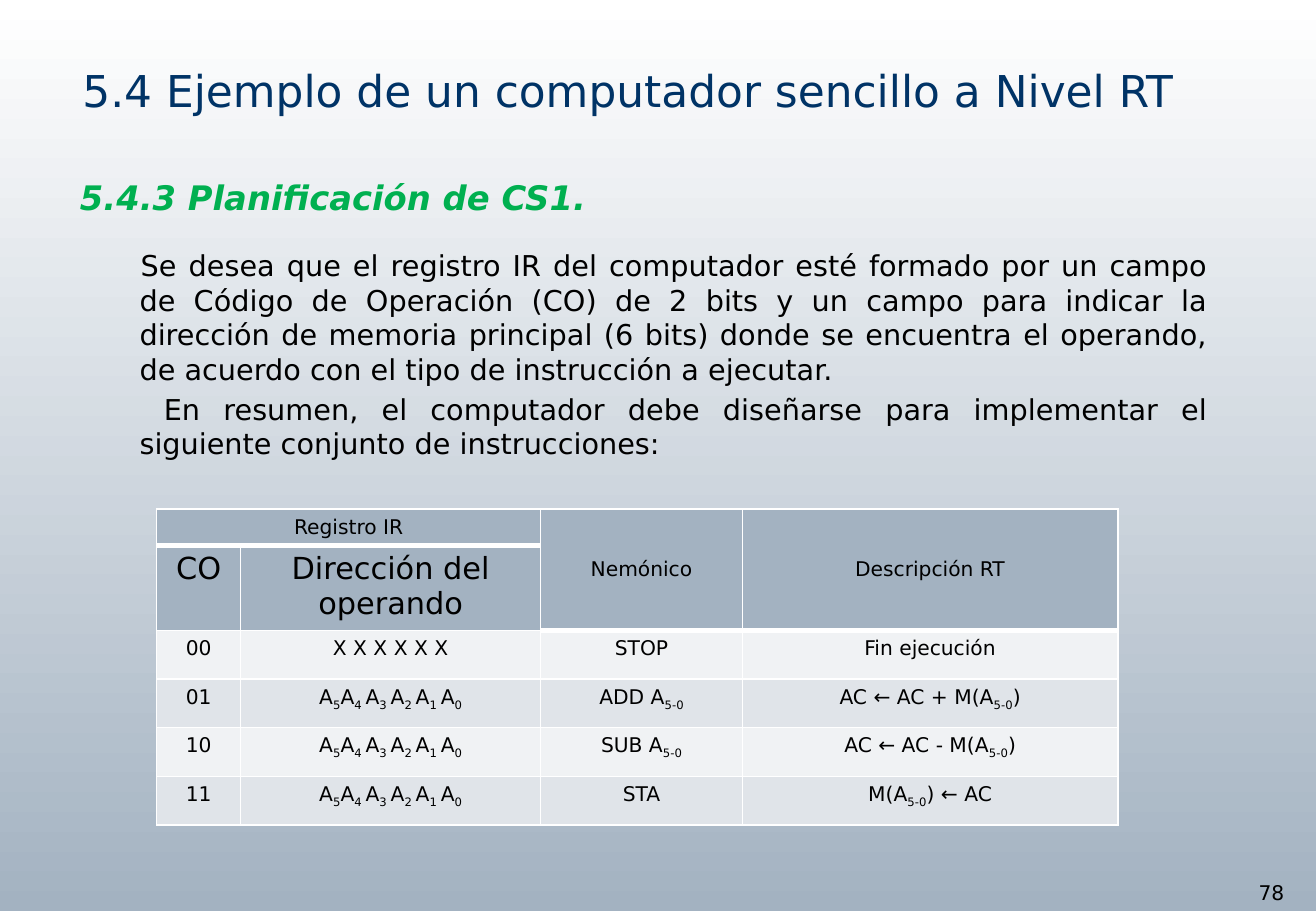
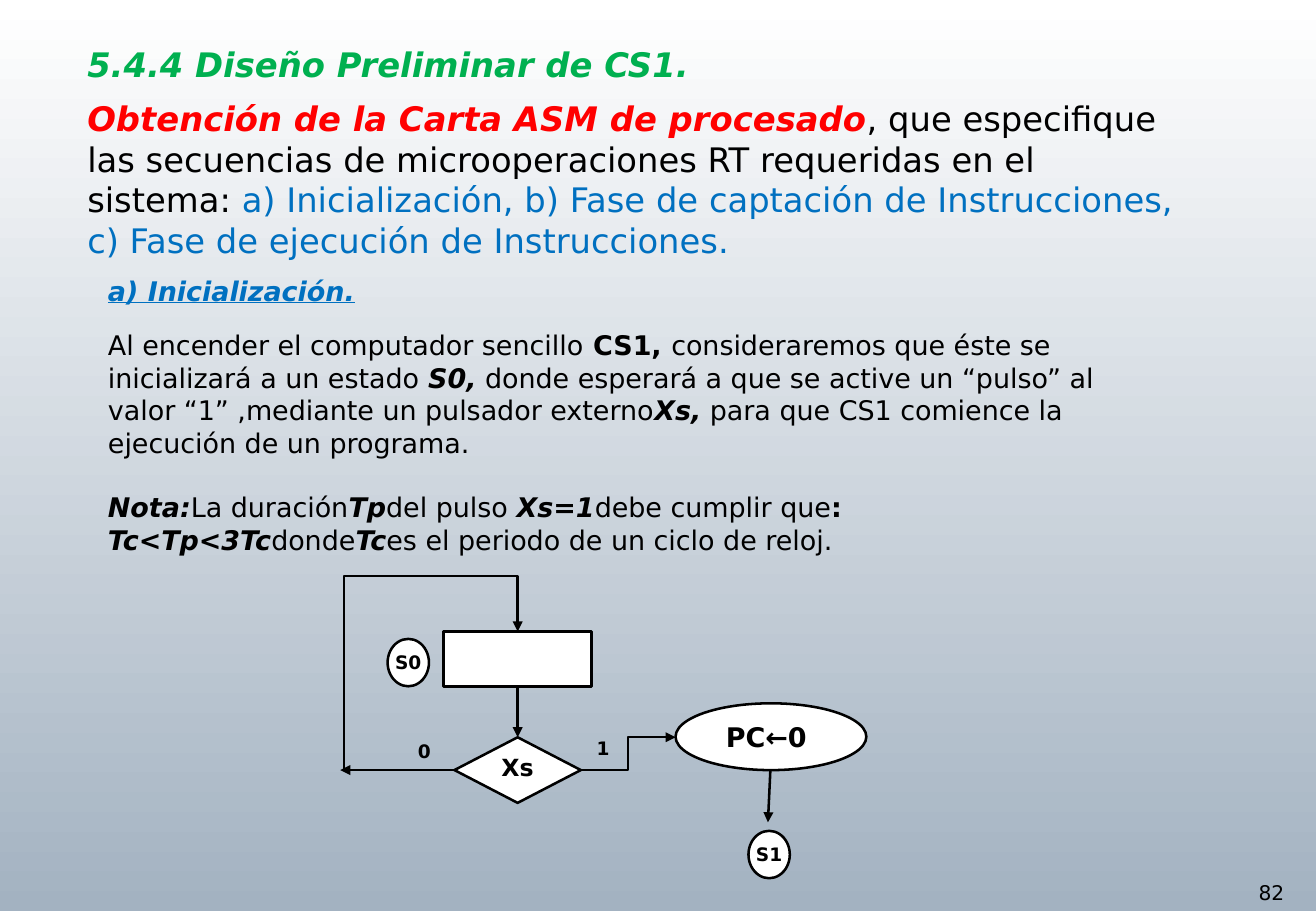
from lxml.etree import SubElement
from pptx import Presentation
from pptx.dml.color import RGBColor
from pptx.enum.shapes import MSO_CONNECTOR, MSO_SHAPE
from pptx.enum.text import MSO_ANCHOR, PP_ALIGN
from pptx.oxml.ns import qn
from pptx.util import Inches, Pt

FONT = "DejaVu Sans"
BLACK, WHITE, STEEL = "000000", "FFFFFF", "A3B2C1"
NAVY, GREEN, BLUE, RED = "003366", "00B050", "0070C0", "FF0000"
BAND_COLORS = ("F0F2F4", "E0E4E9")

ADDRESS = "A|5|A|4 |A|3 |A|2 |A|1 |A|0"
COLUMN_WIDTHS = (0.69, 2.47, 1.66, 3.09)
ROW_HEIGHTS = (0.29, 0.68, 0.4, 0.4, 0.4, 0.4)
INSTRUCTIONS = (
    ("Registro IR", "", "Nemónico", "Descripción RT"),
    ("CO", "Dirección del operando", "", ""),
    ("00", "X X X X X X", "STOP", "Fin ejecución"),
    ("01", ADDRESS, "ADD A|5-0", "AC ← AC + M(A|5-0|)"),
    ("10", ADDRESS, "SUB A|5-0", "AC ← AC - M(A|5-0|)"),
    ("11", ADDRESS, "STA", "M(A|5-0|) ← AC"),
)


def rgb(value):
    """Turn a hex string into a colour."""
    return RGBColor.from_string(value)


def set_font(font, size, color=BLACK, bold=False, italic=False):
    """Apply the shared typeface with a size, colour and emphasis."""
    font.name, font.size = FONT, Pt(size)
    font.bold, font.italic = bold, italic
    font.color.rgb = rgb(color)


def add_textbox(slide, left, top, width, height, inset=None, wrap=True):
    """Add an empty text box and return its text frame."""
    frame = slide.shapes.add_textbox(
        Inches(left), Inches(top), Inches(width), Inches(height)).text_frame
    frame.word_wrap = wrap
    if inset is not None:
        set_insets(frame, inset)
    return frame


def set_insets(frame, inset):
    """Give a text frame the same inset on all four sides."""
    frame.margin_left = frame.margin_right = Inches(inset)
    frame.margin_top = frame.margin_bottom = Inches(inset)


def write(paragraph, text, size, color=BLACK, bold=False, italic=False):
    """Write a paragraph whose runs all share one font."""
    paragraph.text = text
    set_font(paragraph.font, size, color, bold, italic)


def write_mixed(paragraph, size, runs):
    """Write runs of (text, style letters, colour) in one paragraph."""
    for text, style, color in runs:
        run = paragraph.add_run()
        run.text = text
        set_font(run.font, size, color, "b" in style, "i" in style)


def write_subscripts(paragraph, text, size):
    """Write text in which every second part between bars is a subscript."""
    for index, part in enumerate(text.split("|")):
        run = paragraph.add_run()
        run.text = part
        if index % 2:
            run._r.get_or_add_rPr().set("baseline", "-25000")
    set_font(paragraph.font, size)


def add_slide(presentation, number):
    """Add a slide with the shared gradient and its page number."""
    slide = presentation.slides.add_slide(presentation.slide_layouts[6])
    fill = slide.background.fill
    fill.gradient()
    fill.gradient_angle = 270
    for stop, color in zip(fill.gradient_stops, (WHITE, STEEL)):
        stop.color.rgb = rgb(color)
    frame = add_textbox(slide, 10.26, 7.2, 0.57, 0.3, wrap=False)
    write(frame.paragraphs[0], number, 12)
    return slide


def add_title(slide, text, left, top, width, height):
    """Add the slide title."""
    frame = add_textbox(slide, left, top, width, height)
    frame.vertical_anchor = MSO_ANCHOR.BOTTOM
    write(frame.paragraphs[0], text, 26, NAVY)


def add_planning_text(slide, left, top, width, height):
    """Add the section heading and its justified paragraphs."""
    frame = add_textbox(slide, left, top, width, height)
    write(frame.paragraphs[0], "5.4.3 Planificación de CS1.", 20, GREEN, True, True)
    body = (
        ("Se desea que el registro IR del computador esté formado por un campo "
         "de Código de Operación (CO) de 2 bits y un campo para indicar la "
         "dirección de memoria principal (6 bits) donde se encuentra el operando, "
         "de acuerdo con el tipo de instrucción a ejecutar.", 0.01, 18),
        ("En resumen, el computador debe diseñarse para implementar el "
         "siguiente conjunto de instrucciones:", 0.2, 3.4),
    )
    for text, indent, gap in body:
        paragraph = frame.add_paragraph()
        properties = paragraph._p.get_or_add_pPr()
        properties.set("marL", str(Inches(0.49)))
        properties.set("indent", str(Inches(indent)))
        paragraph.alignment = PP_ALIGN.JUSTIFY
        paragraph.space_before = Pt(gap)
        write(paragraph, text, 17)


def add_border(cell, side, width):
    """Draw one white border of a cell."""
    line = SubElement(cell._tc.get_or_add_tcPr(), qn(f"a:ln{side}"), w=str(Pt(width)))
    fill = SubElement(line, qn("a:solidFill"))
    SubElement(fill, qn("a:srgbClr"), val=WHITE)


def add_instruction_table(slide, left, top):
    """Add the table of instructions with its two-row header."""
    table = slide.shapes.add_table(
        len(ROW_HEIGHTS), len(COLUMN_WIDTHS), Inches(left), Inches(top),
        Inches(sum(COLUMN_WIDTHS)), Inches(sum(ROW_HEIGHTS))).table
    table.first_row = table.horz_banding = False
    for column, width in zip(table.columns, COLUMN_WIDTHS):
        column.width = Inches(width)
    for row, height in zip(table.rows, ROW_HEIGHTS):
        row.height = Inches(height)
    for first, last in (((0, 0), (0, 1)), ((0, 2), (1, 2)), ((0, 3), (1, 3))):
        table.cell(*first).merge(table.cell(*last))
    for row, texts in enumerate(INSTRUCTIONS):
        for column, text in enumerate(texts):
            cell = table.cell(row, column)
            under_header = row == 0 or (row == 1 and column > 1)
            for side in "LR" if row else "LRT":
                add_border(cell, side, 1)
            add_border(cell, "B", 3 if under_header else 1)
            cell.fill.solid()
            cell.fill.fore_color.rgb = rgb(STEEL if row < 2 else BAND_COLORS[row % 2])
            cell.vertical_anchor = MSO_ANCHOR.MIDDLE if row == 0 else MSO_ANCHOR.TOP
            paragraph = cell.text_frame.paragraphs[0]
            paragraph.alignment = PP_ALIGN.CENTER
            if text:
                write_subscripts(paragraph, text, 18 if row == 1 else 12)


def add_design_text(slide, left, top, width, height):
    """Add the heading and summary of the preliminary design."""
    frame = add_textbox(slide, left, top, width, height)
    write(frame.paragraphs[0], "5.4.4 Diseño Preliminar de CS1.", 20, GREEN, True, True)
    summary = frame.add_paragraph()
    summary.space_before = Pt(8.4)
    write_mixed(summary, 20, (
        ("Obtención de la Carta ASM de procesado", "bi", RED),
        (", que especifique las secuencias de microoperaciones RT requeridas "
         "en el sistema: ", "", BLACK),
        ("a) Inicialización, b) Fase de captación de Instrucciones, "
         "c) Fase de ejecución de Instrucciones.", "", BLUE),
    ))


def add_start_text(slide, left, top, width, height):
    """Add the explanation of the initialisation phase."""
    frame = add_textbox(slide, left, top, width, height)
    heading = frame.paragraphs[0]
    write(heading, "a) Inicialización.", 16, BLUE, True, True)
    heading.font.underline = True
    body = (
        (13.2, (
            ("Al encender el computador sencillo", ""), (" CS1, ", "b"),
            ("consideraremos que éste se inicializará a un estado ", ""),
            ("S0,", "bi"),
            (" donde esperará a que se active un “pulso” al valor “1” ,"
             "mediante un pulsador externo", ""),
            ("Xs,", "bi"),
            (" para que CS1 comience la ejecución de un programa.", ""))),
        (19.2, (
            ("Nota:", "bi"), ("La duración", ""), ("Tp", "bi"),
            ("del pulso ", ""), ("Xs=1", "bi"), ("debe cumplir que", ""),
            (": ", "b"), ("Tc<Tp<3Tc", "bi"), ("donde", ""), ("Tc", "bi"),
            ("es el periodo de un ciclo de reloj.", ""))),
    )
    for gap, runs in body:
        paragraph = frame.add_paragraph()
        paragraph.space_before = Pt(gap)
        write_mixed(paragraph, 16, [(text, style, BLACK) for text, style in runs])


def add_node(slide, kind, left, top, width, height, text="", size=11):
    """Add a white outlined chart node with centred bold text."""
    shape = slide.shapes.add_shape(
        kind, Inches(left), Inches(top), Inches(width), Inches(height))
    shape.shadow.inherit = False
    shape.fill.solid()
    shape.fill.fore_color.rgb = rgb(WHITE)
    shape.line.color.rgb = rgb(BLACK)
    shape.line.width = Pt(1.5)
    if text:
        frame = shape.text_frame
        set_insets(frame, 0)
        frame.word_wrap = False
        frame.vertical_anchor = MSO_ANCHOR.MIDDLE
        frame.paragraphs[0].alignment = PP_ALIGN.CENTER
        write(frame.paragraphs[0], text, size, bold=True)
    return shape


def add_arrow(slide, start, end, kind=MSO_CONNECTOR.STRAIGHT):
    """Add a black connector with an arrowhead at its end."""
    connector = slide.shapes.add_connector(
        kind, *(Inches(value) for value in (*start, *end)))
    connector.line.color.rgb = rgb(BLACK)
    connector.line.width = Pt(1.5)
    SubElement(connector.line._get_or_add_ln(), qn("a:tailEnd"), type="triangle")
    SubElement(connector._element.spPr, qn("a:effectLst"))
    return connector


def bend_twice(connector, *adjustments):
    """Route an elbow connector through three corners."""
    geometry = connector._element.spPr.find(qn("a:prstGeom"))
    geometry.set("prst", "bentConnector4")
    guides = geometry.find(qn("a:avLst"))
    if guides is None:
        guides = SubElement(geometry, qn("a:avLst"))
    for index, value in enumerate(adjustments, 1):
        SubElement(guides, qn("a:gd"), name=f"adj{index}",
                   fmla=f"val {round(value * 100000)}")


def add_flowchart(slide, left, top):
    """Add the chart that waits in S0 until Xs is 1."""
    def at(x, y):
        return left + x, top + y

    test = add_node(slide, MSO_SHAPE.FLOWCHART_DECISION, *at(0.94, 1.32), 1.04, 0.54, "Xs", 14)
    test.text_frame.paragraphs[0].line_spacing = 0.8
    add_node(slide, MSO_SHAPE.OVAL, *at(0.39, 0.51), 0.34, 0.39, "S0")
    state = add_node(slide, MSO_SHAPE.RECTANGLE, *at(0.85, 0.45), 1.22, 0.45)
    add_node(slide, MSO_SHAPE.OVAL, *at(2.76, 1.04), 1.57, 0.55, "PC←0 ", 16)
    add_node(slide, MSO_SHAPE.OVAL, *at(3.36, 2.09), 0.34, 0.39, "S1")

    add_arrow(slide, at(1.46, 0.9), at(1.46, 1.32))
    add_arrow(slide, at(0.94, 1.59), at(0, 1.59))
    add_arrow(slide, at(3.54, 1.59), at(3.52, 2.02))
    add_arrow(slide, at(1.98, 1.59), at(2.76, 1.32), MSO_CONNECTOR.ELBOW)
    loop = add_arrow(slide, at(0.94, 1.59), at(1.46, 0.45), MSO_CONNECTOR.ELBOW)
    bend_twice(loop, -1.75, 1.4)
    loop.begin_connect(test, 1)
    loop.end_connect(state, 0)

    for text, x, y in (("0", 0.64, 1.34), ("1", 2.11, 1.32)):
        frame = add_textbox(slide, *at(x, y), 0.16, 0.4, inset=0)
        write(frame.paragraphs[0], text, 11, bold=True)


def main():
    """Build and save the presentation."""
    presentation = Presentation()
    presentation.slide_width, presentation.slide_height = Inches(10.83), Inches(7.5)

    planning = add_slide(presentation, "78")
    add_title(planning, "5.4 Ejemplo de un computador sencillo a Nivel RT", 0.58, 0.39, 9.48, 0.62)
    add_planning_text(planning, 0.56, 1.41, 9.48, 2.94)
    add_instruction_table(planning, 1.29, 4.19)

    design = add_slide(presentation, "82")
    add_design_text(design, 0.62, 0.31, 9.23, 1.94)
    add_start_text(design, 0.79, 2.21, 8.55, 2.44)
    add_flowchart(design, 2.8, 4.75)

    presentation.save("out.pptx")


if __name__ == "__main__":
    main()
